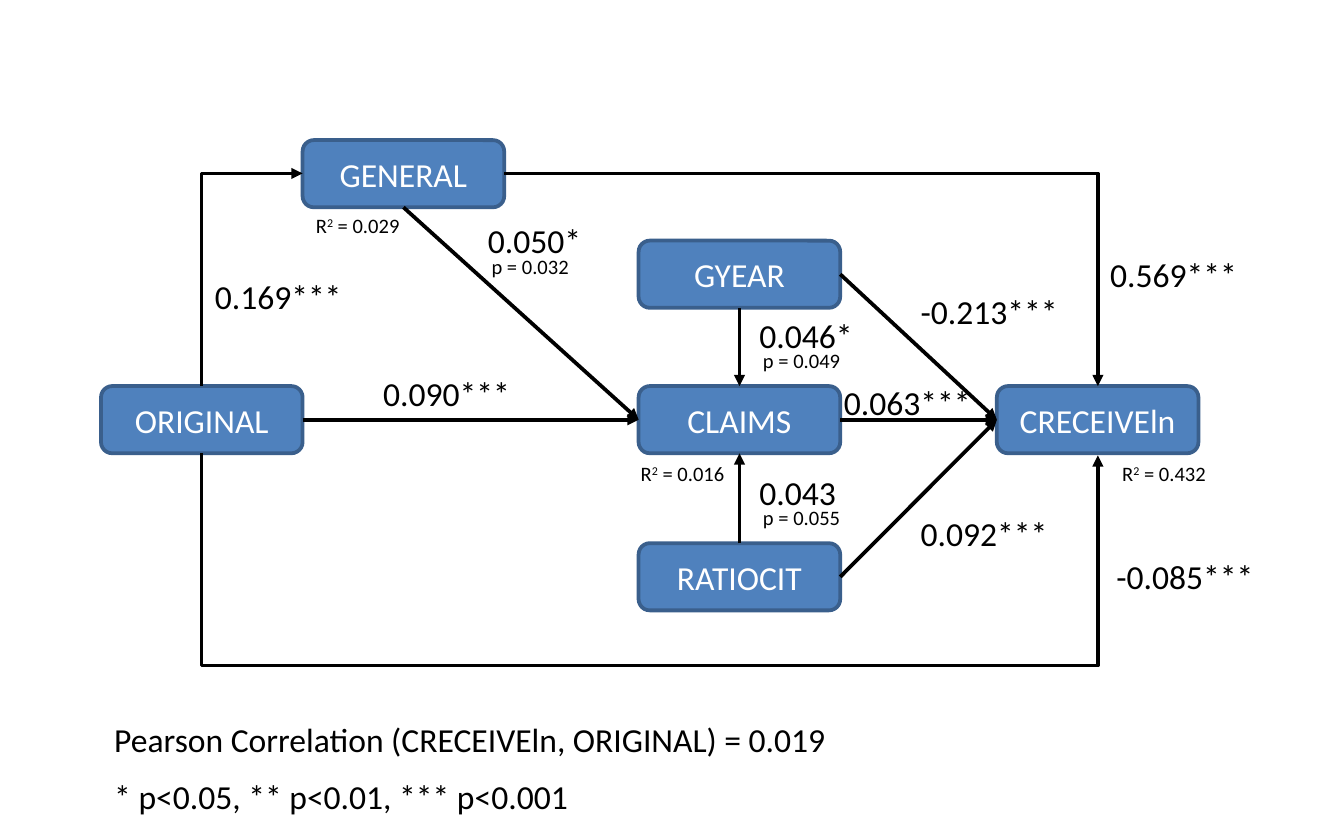
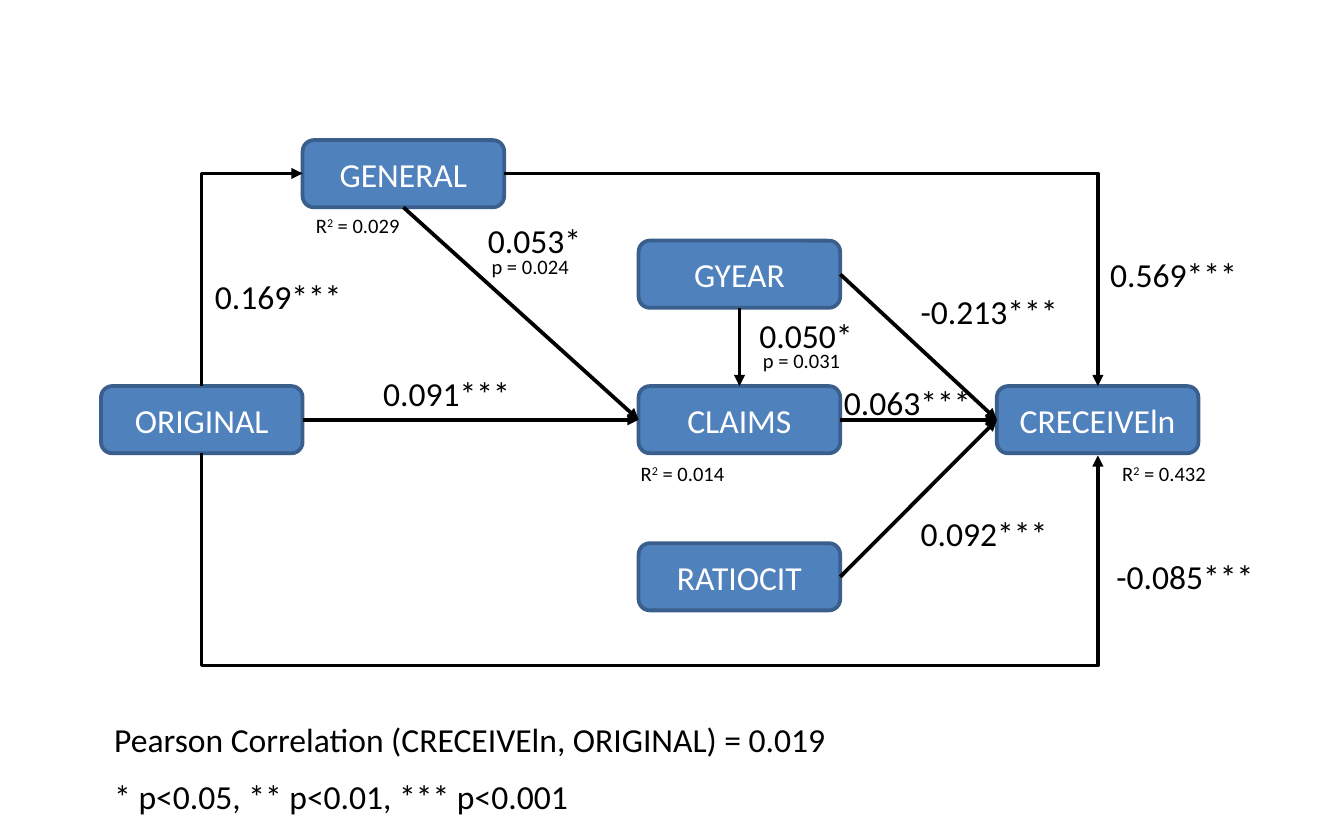
from dataclasses import dataclass

from pptx import Presentation
from pptx.dml.color import RGBColor
from pptx.enum.shapes import MSO_CONNECTOR, MSO_SHAPE
from pptx.enum.text import MSO_ANCHOR, MSO_AUTO_SIZE, PP_ALIGN
from pptx.oxml.ns import qn
from pptx.oxml.xmlchemy import OxmlElement
from pptx.util import Cm, Pt

STRAIGHT, ELBOW = MSO_CONNECTOR.STRAIGHT, MSO_CONNECTOR.ELBOW
ROUNDED = MSO_SHAPE.ROUNDED_RECTANGLE
MIDDLE, CENTER = MSO_ANCHOR.MIDDLE, PP_ALIGN.CENTER
FIT_SHAPE = MSO_AUTO_SIZE.SHAPE_TO_FIT_TEXT
TOP, LEFT, BOTTOM, RIGHT = range(4)  # connection sites of a box


@dataclass(frozen=True)
class Theme:
    font: str = "Calibri"
    box: RGBColor = RGBColor(0x4F, 0x81, 0xBD)
    box_edge: RGBColor = RGBColor(0x3A, 0x5F, 0x8C)
    box_text: RGBColor = RGBColor(0xFF, 0xFF, 0xFF)
    ink: RGBColor = RGBColor(0, 0, 0)
    body: Pt = Pt(18)
    small: Pt = Pt(11)
    line: Pt = Pt(2)


THEME = Theme()

# Model variables: left and top in cm
BOX_W, BOX_H = 3.81, 1.27
VARIABLES = {
    "CRECEIVEln": (18.84, 7.3),
    "CLAIMS": (12.07, 7.3),
    "ORIGINAL": (1.91, 7.3),
    "GENERAL": (5.72, 2.65),
    "GYEAR": (12.07, 4.55),
    "RATIOCIT": (12.07, 10.27),
}

# Direct effects: cause, site, outcome, site
DIRECT = [
    ("CLAIMS", RIGHT, "CRECEIVEln", LEFT),
    ("RATIOCIT", RIGHT, "CRECEIVEln", LEFT),
    ("GYEAR", RIGHT, "CRECEIVEln", LEFT),
    ("GENERAL", BOTTOM, "CLAIMS", LEFT),
    ("ORIGINAL", RIGHT, "CLAIMS", LEFT),
    ("GYEAR", BOTTOM, "CLAIMS", TOP),
    ("RATIOCIT", TOP, "CLAIMS", BOTTOM),
]

# Effects routed round corners: start, end, preset, rotation, flips, bend depth
ORIGINAL_X, OUTCOME_X = 3.81, 20.75
GENERAL_Y, ROW_TOP, ROW_BOTTOM = 3.28, 7.3, 8.57
LOOP_RISE, LOOP_DEPTH = 0.04, 4.01
ROUTED = [
    ((9.53, GENERAL_Y), (OUTCOME_X, ROW_TOP), "bentConnector2", 0, (), None),
    ((ORIGINAL_X, ROW_BOTTOM), (OUTCOME_X, ROW_BOTTOM + LOOP_RISE),
     "bentConnector3", 270, ("flipH",), LOOP_DEPTH / LOOP_RISE),
    ((ORIGINAL_X, ROW_TOP), (5.72, GENERAL_Y), "bentConnector2", 90, ("flipH", "flipV"), None),
]

# Label places, left and top in cm
COEFFICIENT_AT = {
    "ORIGINAL-GENERAL": (3.81, 5.1),
    "GENERAL-CRECEIVEln": (20.73, 4.67),
    "GENERAL-CLAIMS": (8.97, 4.04),
    "ORIGINAL-CLAIMS": (6.99, 6.93),
    "GYEAR-CLAIMS": (14.1, 5.82),
    "RATIOCIT-CLAIMS": (14.1, 8.79),
    "CLAIMS-CRECEIVEln": (15.95, 7.09),
    "GYEAR-CRECEIVEln": (17.15, 5.38),
    "RATIOCIT-CRECEIVEln": (17.15, 9.58),
    "ORIGINAL-CRECEIVEln": (20.85, 10.39),
}
P_VALUE_AT = {
    "GENERAL-CLAIMS": (9.04, 4.67),
    "GYEAR-CLAIMS": (14.17, 6.45),
    "RATIOCIT-CLAIMS": (14.17, 9.42),
}
R_SQUARED_AT = {"GENERAL": (5.72, 3.91), "CLAIMS": (11.86, 8.59), "CRECEIVEln": (20.96, 8.59)}
NOTES = [
    ("Pearson Correlation (CRECEIVEln, ORIGINAL) = 0.019", 13.46, 15.44),
    ("* p<0.05, ** p<0.01, *** p<0.001", 14.55, 10.8),
]

# Estimates: those common to both models, then each model's own
SHARED = {
    "ORIGINAL-GENERAL": "0.169***",
    "GENERAL-CRECEIVEln": "0.569***",
    "CLAIMS-CRECEIVEln": "0.063***",
    "GYEAR-CRECEIVEln": "-0.213***",
    "RATIOCIT-CRECEIVEln": "0.092***",
    "ORIGINAL-CRECEIVEln": "-0.085***",
}
SHARED_FIT = {"GENERAL": "0.029", "CRECEIVEln": "0.432"}
MODELS = [
    {
        "effects": {"GENERAL-CLAIMS": "0.050*", "ORIGINAL-CLAIMS": "0.090***",
                    "GYEAR-CLAIMS": "0.046*", "RATIOCIT-CLAIMS": "0.043"},
        "p": {"GENERAL-CLAIMS": "0.032", "GYEAR-CLAIMS": "0.049", "RATIOCIT-CLAIMS": "0.055"},
        "fit": {"CLAIMS": "0.016"},
    },
    {
        "effects": {"GENERAL-CLAIMS": "0.053*", "ORIGINAL-CLAIMS": "0.091***",
                    "GYEAR-CLAIMS": "0.050*"},
        "p": {"GENERAL-CLAIMS": "0.024", "GYEAR-CLAIMS": "0.031"},
        "fit": {"CLAIMS": "0.014"},
    },
]


def add_label(slide, parts, place, width, size=THEME.body):
    """Add a line of text; every second part is superscript."""
    height = 1.02 if size == THEME.body else 0.73
    label = slide.shapes.add_textbox(Cm(place[0]), Cm(place[1]), Cm(width), Cm(height))
    frame = label.text_frame
    frame.word_wrap = True
    frame.auto_size = FIT_SHAPE
    paragraph = frame.paragraphs[0]
    paragraph.font.name = THEME.font
    paragraph.font.size = size
    paragraph.font.color.rgb = THEME.ink
    for index, part in enumerate(parts):
        run = paragraph.add_run()
        run.text = part
        if index % 2:
            run.font._element.set("baseline", "30000")
    return frame


def style_arrow(arrow):
    arrow.line.color.rgb = THEME.ink
    arrow.line.width = THEME.line
    head = OxmlElement("a:tailEnd")
    head.set("type", "triangle")
    arrow.line._get_or_add_ln().append(head)
    arrow._element.spPr.append(OxmlElement("a:effectLst"))


prs = Presentation()
prs.slide_width, prs.slide_height = Cm(25.4), Cm(15.88)

for model in MODELS:
    slide = prs.slides.add_slide(prs.slide_layouts[6])
    effects = SHARED | model["effects"]

    # Variable boxes
    boxes = {}
    for variable, (left, top) in VARIABLES.items():
        box = slide.shapes.add_shape(ROUNDED, Cm(left), Cm(top), Cm(BOX_W), Cm(BOX_H))
        box.shadow.inherit = False
        box.fill.solid()
        box.fill.fore_color.rgb = THEME.box
        box.line.color.rgb = THEME.box_edge
        box.line.width = THEME.line
        box.text_frame.vertical_anchor = MIDDLE
        paragraph = box.text_frame.paragraphs[0]
        paragraph.text = variable
        paragraph.alignment = CENTER
        paragraph.font.name = THEME.font
        paragraph.font.size = THEME.body
        paragraph.font.color.rgb = THEME.box_text
        boxes[variable] = box

    # Straight arrows, glued to the boxes
    for cause, cause_site, outcome, outcome_site in DIRECT:
        if f"{cause}-{outcome}" not in effects:
            continue
        arrow = slide.shapes.add_connector(STRAIGHT, 0, 0, 0, 0)
        arrow.begin_connect(boxes[cause], cause_site)
        arrow.end_connect(boxes[outcome], outcome_site)
        style_arrow(arrow)

    # Bent arrows: a quarter turn swaps width and height about the centre
    for (x1, y1), (x2, y2), preset, rotation, flips, bend in ROUTED:
        width, height = abs(x2 - x1), abs(y2 - y1)
        if rotation:
            width, height = height, width
        left, top = (x1 + x2 - width) / 2, (y1 + y2 - height) / 2
        arrow = slide.shapes.add_connector(
            ELBOW, Cm(left), Cm(top), Cm(left + width), Cm(top + height))
        frame = arrow._element.spPr.find(qn("a:xfrm"))
        frame.set("rot", str(rotation * 60000))
        for flip in flips:
            frame.set(flip, "1")
        geometry = arrow._element.spPr.find(qn("a:prstGeom"))
        geometry.set("prst", preset)
        if bend:
            guide = OxmlElement("a:gd")
            guide.set("name", "adj1")
            guide.set("fmla", f"val {round(bend * 100000)}")
            geometry.find(qn("a:avLst")).append(guide)
        style_arrow(arrow)

    # Path coefficients
    for effect, place in COEFFICIENT_AT.items():
        if effect in effects:
            frame = add_label(slide, [effects[effect]], place, 3.3)
            if effect == "CLAIMS-CRECEIVEln":
                frame.margin_left = frame.margin_right = 0

    # P values and explained variance
    for effect, value in model["p"].items():
        add_label(slide, [f"p = {value}"], P_VALUE_AT[effect], 2.54, THEME.small)
    for variable, value in (SHARED_FIT | model["fit"]).items():
        add_label(slide, ["R", "2", f" = {value}"], R_SQUARED_AT[variable], 2.54, THEME.small)

    # Notes below the diagram
    for note, top, width in NOTES:
        add_label(slide, [note], (1.91, top), width)

prs.save("out.pptx")
